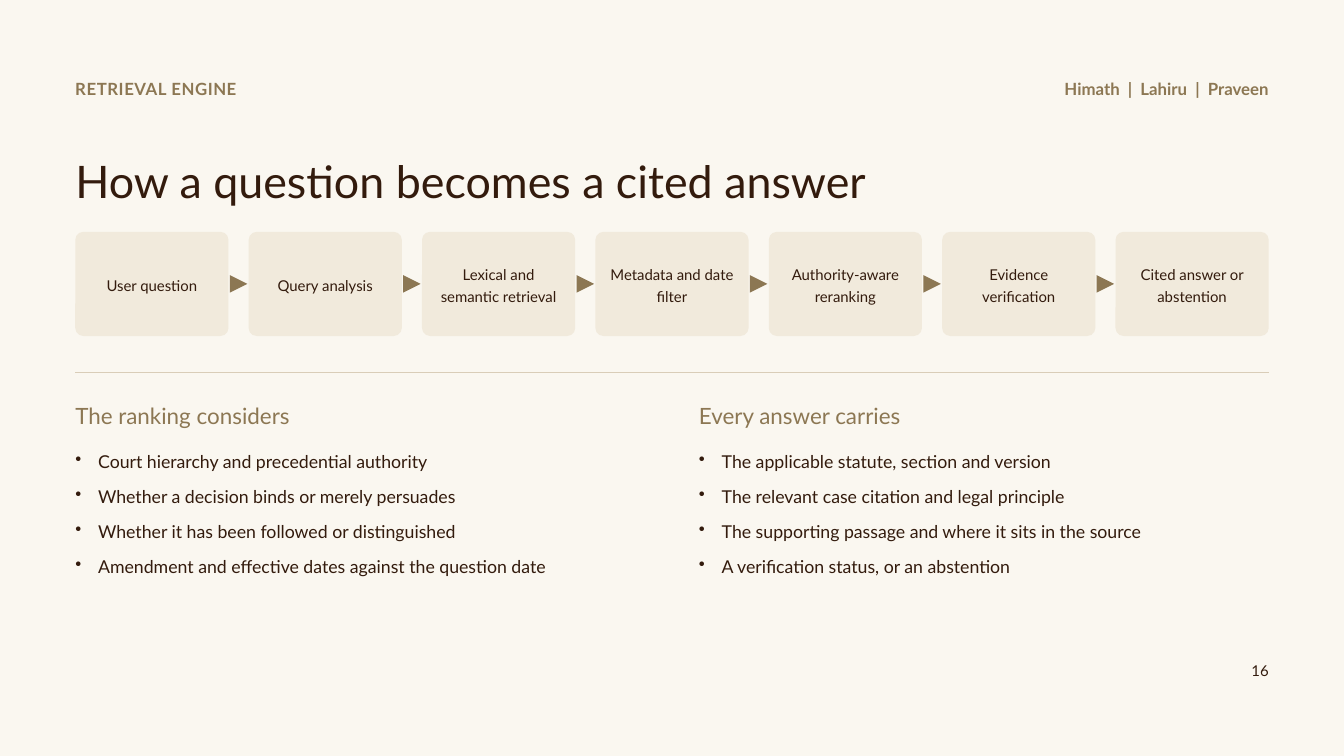
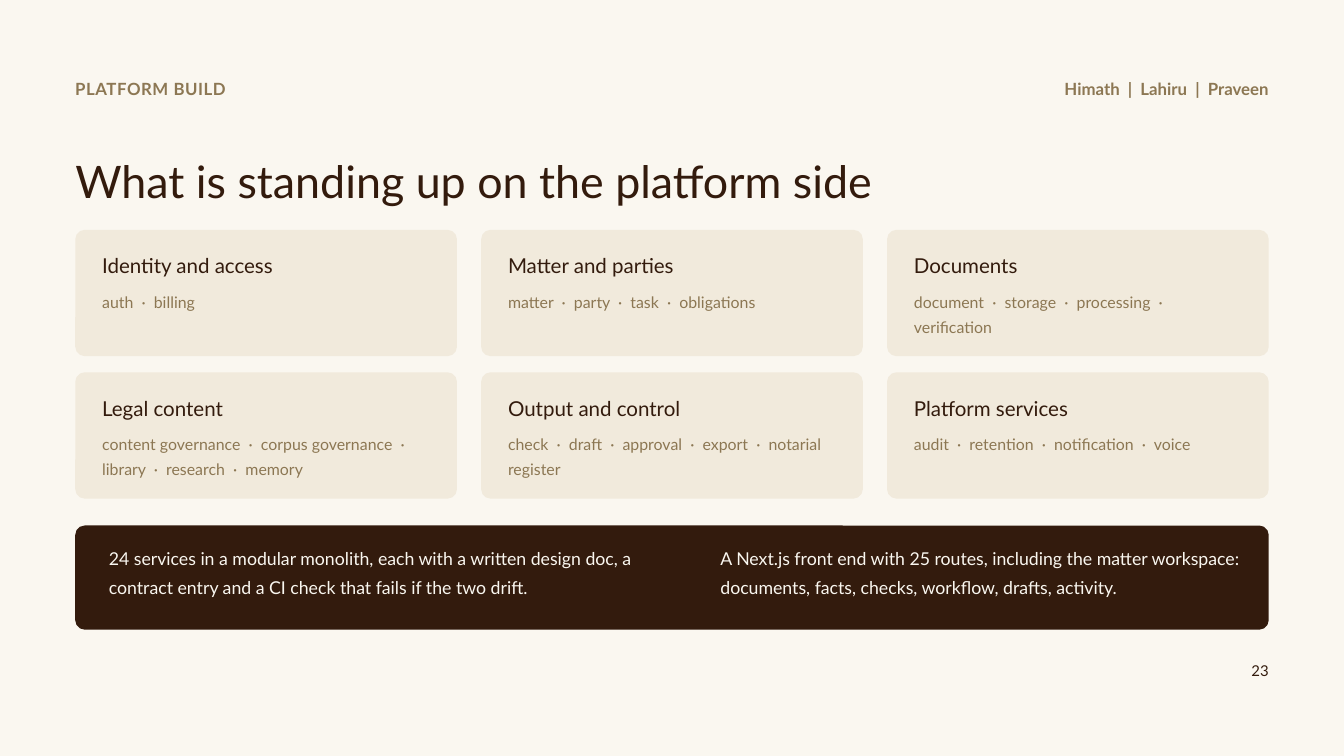
from dataclasses import dataclass

from lxml import etree
from pptx import Presentation
from pptx.dml.color import RGBColor
from pptx.enum.shapes import MSO_CONNECTOR, MSO_SHAPE
from pptx.enum.text import MSO_ANCHOR, MSO_AUTO_SIZE, PP_ALIGN
from pptx.oxml.ns import qn
from pptx.util import Inches, Pt


@dataclass(frozen=True)
class Theme:
    font: str = "Lato"
    paper: str = "FAF7F0"
    card: str = "F1EADC"
    ink: str = "331B0D"
    accent: str = "8C7753"
    rule: str = "D9CDB8"
    title: int = 48
    heading: int = 24
    card_title: int = 22
    body: int = 19
    header: int = 18
    card_body: int = 17
    small: int = 16


THEME = Theme()
LEFT, RIGHT = 1.12, 18.88
WIDTH = RIGHT - LEFT
TEAM = "  |  ".join(["Himath", "Lahiru", "Praveen"])
TITLE_ONLY = 5


def rgb(color):
    return RGBColor.from_string(color)


def add_bullet(p, indent):
    pPr = p._p.get_or_add_pPr()
    pPr.set("marL", str(Inches(indent)))
    pPr.set("indent", str(-Inches(indent)))
    etree.SubElement(pPr, qn("a:buChar")).set("char", "•")


def write(tf, *lines, size, color=THEME.ink, bold=False, align=PP_ALIGN.LEFT,
          anchor=MSO_ANCHOR.TOP, spacing=1.2, gap=0, tracking=0, indent=0, inset=0):
    """Fill a text frame with one paragraph per line; an indent makes them bullets."""
    tf.word_wrap = True
    tf.auto_size = MSO_AUTO_SIZE.NONE
    tf.vertical_anchor = anchor
    tf.margin_left = tf.margin_right = Inches(inset)
    tf.margin_top = tf.margin_bottom = 0
    for i, line in enumerate(lines):
        p = tf.add_paragraph() if i else tf.paragraphs[0]
        p.alignment = align
        p.line_spacing = spacing
        p.space_before = Pt(gap if i else 0)
        if indent:
            add_bullet(p, indent)
        r = p.add_run()
        r.text = line
        r.font.name = THEME.font
        r.font.size = Pt(size)
        r.font.bold = bold
        r.font.color.rgb = rgb(color)
        if tracking:
            r._r.get_or_add_rPr().set("spc", str(round(tracking * 100)))


class Deck:
    def __init__(self, theme):
        self.theme = theme
        self.prs = Presentation()
        self.prs.slide_width = Inches(20)
        self.prs.slide_height = Inches(11.25)
        fill = self.prs.slide_master.background.fill
        fill.solid()
        fill.fore_color.rgb = rgb(theme.paper)
        self.s = None

    def slide(self, section, title, number):
        t = self.theme
        self.s = self.prs.slides.add_slide(self.prs.slide_layouts[TITLE_ONLY])
        sp = self.s.shapes.title
        sp.left, sp.top, sp.width, sp.height = map(Inches, (LEFT, 2.18, 15.5, 0.82))
        write(sp.text_frame, title, size=t.title, spacing=1.14)
        header = dict(size=t.header, color=t.accent, bold=True, spacing=1.05)
        self.text(LEFT, 1.16, 9, 0.32, section, tracking=0.6, **header)
        self.text(RIGHT - 5, 1.16, 5, 0.32, TEAM, align=PP_ALIGN.RIGHT, **header)
        self.text(RIGHT - 5, 9.83, 5, 0.29, str(number), size=t.small,
                  align=PP_ALIGN.RIGHT, spacing=1.05)

    def text(self, x, y, w, h, *lines, **style):
        box = self.s.shapes.add_textbox(*map(Inches, (x, y, w, h)))
        write(box.text_frame, *lines, **style)

    def shape(self, kind, x, y, w, h, color):
        sp = self.s.shapes.add_shape(kind, *map(Inches, (x, y, w, h)))
        sp.shadow.inherit = False
        sp.fill.solid()
        sp.fill.fore_color.rgb = rgb(color)
        sp.line.fill.background()
        return sp

    def panel(self, x, y, w, h, color, radius=0.14):
        sp = self.shape(MSO_SHAPE.ROUNDED_RECTANGLE, x, y, w, h, color)
        sp.adjustments[0] = radius / min(w, h)
        return sp

    def step(self, x, y, w, h, label):
        sp = self.panel(x, y, w, h, self.theme.card, radius=0.12)
        write(sp.text_frame, label, size=self.theme.small, align=PP_ALIGN.CENTER,
              anchor=MSO_ANCHOR.MIDDLE, spacing=1.22, inset=0.12)

    def arrow(self, x, y, size):
        sp = self.shape(MSO_SHAPE.ISOSCELES_TRIANGLE, x, y, size, size, self.theme.accent)
        sp.rotation = 90

    def divider(self, y):
        line = self.s.shapes.add_connector(
            MSO_CONNECTOR.STRAIGHT, *map(Inches, (LEFT, y, RIGHT, y)))
        line.line.color.rgb = rgb(self.theme.rule)
        line.line.width = Pt(1)
        etree.SubElement(line._element.spPr, qn("a:effectLst"))

    def bullet_column(self, x, w, heading, items):
        t = self.theme
        self.text(x, 5.9, w, 0.46, heading, size=t.heading, color=t.accent)
        self.text(x, 6.6, w, 1.77, *items, size=t.body, spacing=1.34, gap=7, indent=0.34)

    def card(self, x, y, w, h, title, services):
        t = self.theme
        pad = 0.4
        self.panel(x, y, w, h, t.card)
        self.text(x + pad, y + 0.28, w - 2 * pad, 0.42, title,
                  size=t.card_title, spacing=1.18)
        self.text(x + pad, y + 0.85, w - 2 * pad, 0.67, "  ·  ".join(services),
                  size=t.card_body, color=t.accent, spacing=1.3)


def retrieval_slide(deck):
    deck.slide("RETRIEVAL ENGINE", "How a question becomes a cited answer", 16)
    steps = ["User question", "Query analysis", "Lexical and semantic retrieval",
             "Metadata and date filter", "Authority-aware reranking",
             "Evidence verification", "Cited answer or abstention"]
    top, w, h, gap, arrow = 3.45, 2.28, 1.55, 0.3, 0.26
    for i, label in enumerate(steps):
        x = LEFT + i * (w + gap)
        if i:
            deck.arrow(x - (gap + arrow) / 2, top + (h - arrow) / 2, arrow)
        deck.step(x, top, w, h, label)

    deck.divider(5.55)
    columns = {
        "The ranking considers": [
            "Court hierarchy and precedential authority",
            "Whether a decision binds or merely persuades",
            "Whether it has been followed or distinguished",
            "Amendment and effective dates against the question date"],
        "Every answer carries": [
            "The applicable statute, section and version",
            "The relevant case citation and legal principle",
            "The supporting passage and where it sits in the source",
            "A verification status, or an abstention"],
    }
    w, gap = 8.48, 0.8
    for i, (heading, items) in enumerate(columns.items()):
        deck.bullet_column(LEFT + i * (w + gap), w, heading, items)


def platform_slide(deck):
    deck.slide("PLATFORM BUILD", "What is standing up on the platform side", 23)
    groups = {
        "Identity and access": ["auth", "billing"],
        "Matter and parties": ["matter", "party", "task", "obligations"],
        "Documents": ["document", "storage", "processing", "verification"],
        "Legal content": ["content governance", "corpus governance", "library",
                          "research", "memory"],
        "Output and control": ["check", "draft", "approval", "export",
                               "notarial register"],
        "Platform services": ["audit", "retention", "notification", "voice"],
    }
    w, h, gap_x, gap_y = 5.68, 1.88, 0.36, 0.24
    for i, (title, services) in enumerate(groups.items()):
        row, col = divmod(i, 3)
        deck.card(LEFT + col * (w + gap_x), 3.42 + row * (h + gap_y), w, h,
                  title, services)

    t = deck.theme
    deck.panel(LEFT, 7.82, WIDTH, 1.55, t.ink)
    summaries = [
        (1.62, 8.4, "24 services in a modular monolith, each with a written design doc, "
                    "a contract entry and a CI check that fails if the two drift."),
        (10.72, 8.2, "A Next.js front end with 25 routes, including the matter workspace: "
                     "documents, facts, checks, workflow, drafts, activity."),
    ]
    for x, w, summary in summaries:
        deck.text(x, 8.05, w, 0.77, summary, size=t.body, color=t.paper, spacing=1.34)


def main():
    deck = Deck(THEME)
    retrieval_slide(deck)
    platform_slide(deck)
    deck.prs.save("out.pptx")


if __name__ == "__main__":
    main()
